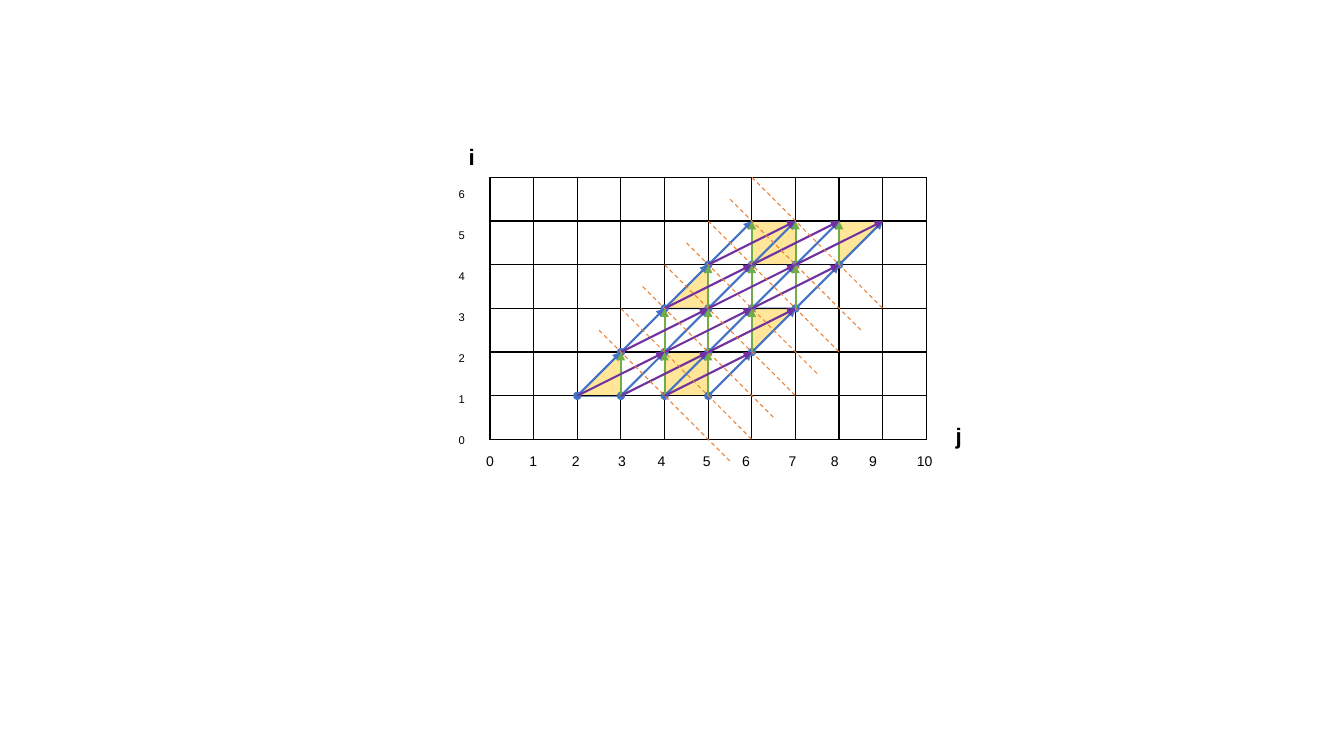
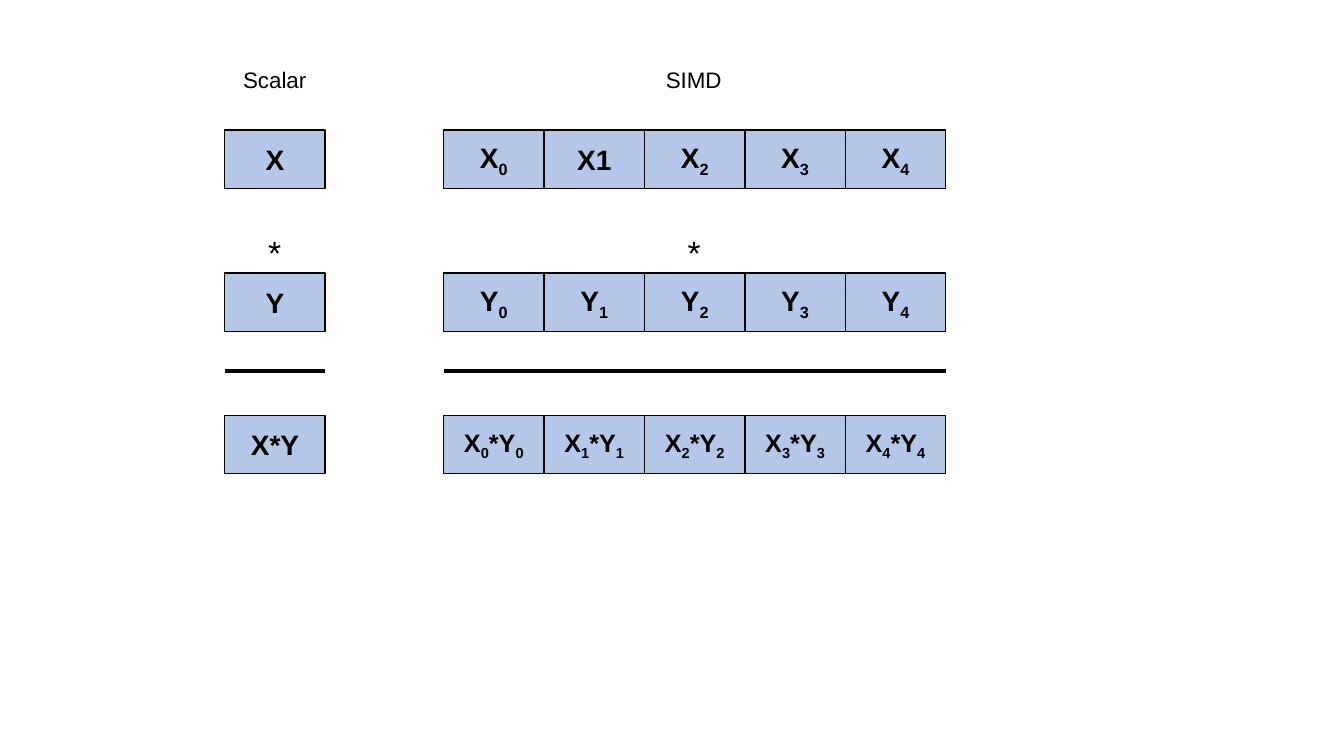
import pptx
import pptx.util
import pptx.dml.color
import pptx.enum.dml
import pptx.enum.shapes
import pptx.enum.text
import pptx.oxml.ns
import lxml.etree

PX = 9144
FONT = "Arial"
HUES = {"ink": "000000", "sand": "FFE699", "edge": "325491", "blue": "4472C4",
        "green": "70AD47", "plum": "7030A0", "rust": "ED7D31", "sky": "B4C7E7"}

KIND = pptx.enum.shapes.MSO_SHAPE
ALIGN = pptx.enum.text.PP_ALIGN

LEFT, BASE, WIDE, HIGH = 486, 436, 433, 260
COLS, ROWS = 10, 6
TILES = [(4, 1, KIND.RECTANGLE, 0), (6, 4, KIND.RECTANGLE, 0),
         (8, 4, KIND.ISOSCELES_TRIANGLE, 180), (6, 2, KIND.ISOSCELES_TRIANGLE, 180),
         (4, 3, KIND.ISOSCELES_TRIANGLE, 0), (2, 1, KIND.ISOSCELES_TRIANGLE, 0)]
ARROWS = [("blue", range(0, 4), 1, "oval"), ("green", range(1, 4), 0, None),
          ("plum", range(0, 3), 2, None)]
TICKS = [486, 529, 571, 617, 656, 701, 740, 786, 828, 866, 917]
NAMES = [("i", 455, 137), ("j", 938, 414)]

SOLO, START, SPAN, BOX = 223, 440, 498, 58
BANDS = [(129, 20, "X", ["X|0", "X1", "X|2", "X|3", "X|4"]),
         (271, 20, "Y", ["Y|0", "Y|1", "Y|2", "Y|3", "Y|4"]),
         (412, 18, "X*Y", ["X|0|*Y|0", "X|1|*Y|1", "X|2|*Y|2", "X|3|*Y|3", "X|4|*Y|4"])]
HEADS = [("Scalar", 229, 61, 87, 37, 16), ("SIMD", 577, 61, 222, 37, 16),
         ("*", 229, 225, 87, 50, 24), ("*", 645, 225, 87, 50, 24)]
RULE = 368


def px(*vals):
    return [round(val * PX) for val in vals]


def hue(name):
    return pptx.dml.color.RGBColor.from_string(HUES[name])


def tag(root, name, **atts):
    return lxml.etree.SubElement(root, pptx.oxml.ns.qn("a:" + name), **atts)


def style(para, size, bold=False, align=ALIGN.CENTER):
    para.alignment = align
    para.font.name = FONT
    para.font.size = pptx.util.Pt(size)
    para.font.bold = bold
    para.font.color.rgb = hue("ink")


def label(slide, lines, box, size, bold=False, align=ALIGN.CENTER):
    frame = slide.shapes.add_textbox(*px(*box)).text_frame
    frame.word_wrap = True
    frame.text = "\n".join(lines)
    for para in frame.paragraphs:
        style(para, size, bold, align)
    return frame


def shape(slide, kind, box, fill, edge):
    item = slide.shapes.add_shape(kind, *px(*box))
    item.shadow.inherit = False
    item.fill.solid()
    item.fill.fore_color.rgb = hue(fill)
    item.line.color.rgb = hue(edge)
    item.line.width = pptx.util.Pt(1)
    return item


def line(slide, start, end, name, width, head=None, tail=None, dash=False):
    item = slide.shapes.add_connector(
        pptx.enum.shapes.MSO_CONNECTOR.STRAIGHT, *px(*start, *end))
    item.line.color.rgb = hue(name)
    item.line.width = pptx.util.Pt(width)
    if dash:
        item.line.dash_style = pptx.enum.dml.MSO_LINE.DASH
    props = item._element.spPr
    stroke = props.find(pptx.oxml.ns.qn("a:ln"))
    for end_tag, form in (("headEnd", head), ("tailEnd", tail)):
        if form:
            tag(stroke, end_tag, type=form)
    tag(props, "effectLst")


def node(col, row):
    return LEFT + WIDE * col / COLS, BASE - HIGH * row / ROWS


def mesh(slide):
    table = slide.shapes.add_table(
        ROWS, COLS, *px(LEFT, BASE - HIGH, WIDE, HIGH)).table
    table.first_row = table.horz_banding = False
    for cell in table.iter_cells():
        props = cell._tc.get_or_add_tcPr()
        for side in ("lnL", "lnR", "lnT", "lnB"):
            edge = tag(props, side, w=str(pptx.util.Pt(1)))
            tag(tag(edge, "solidFill"), "srgbClr", val=HUES["ink"])
        cell.fill.background()


def lattice(slide):
    for col, row, kind, turn in TILES:
        x, y = node(col, row + 1)
        tile = shape(slide, kind, (x, y, WIDE / COLS, HIGH / ROWS), "sand", "edge")
        tile.rotation = turn
        if kind == KIND.ISOSCELES_TRIANGLE:
            tile.adjustments[0] = 1
    mesh(slide)
    for num, x in enumerate(TICKS):
        label(slide, [str(num)], (x - 25, 444, 50, 28), 10)
    marks = [str(num) for num in range(ROWS, -1, -1)]
    for para in label(slide, marks, (445, 174, 40, 270), 8, align=ALIGN.LEFT).paragraphs:
        para.line_spacing = 1.5
        para.space_after = pptx.util.Pt(15)
    for name, shifts, step, head in ARROWS:
        for shift in shifts:
            for row in range(1, 5):
                col = row + 1 + shift
                line(slide, node(col, row), node(col + step, row + 1),
                     name, 1.5, head, "triangle")
    for num in range(8):
        at = 2.5 + num / 2
        line(slide, node(at, at), node(at + 3, at - 3), "rust", 0.75, dash=True)
    for name, x, y in NAMES:
        label(slide, [name], (x, y, 34, 37), 16, True, ALIGN.LEFT)


def block(slide, x, y, width, text, size):
    item = shape(slide, KIND.RECTANGLE, (x, y, width, BOX), "sky", "ink")
    item.text_frame.vertical_anchor = pptx.enum.text.MSO_ANCHOR.MIDDLE
    para = item.text_frame.paragraphs[0]
    style(para, size, True)
    for num, part in enumerate(text.split("|")):
        run = para.add_run()
        run.text = part
        if num % 2:
            run._r.get_or_add_rPr().set("baseline", "-25000")


def vectors(slide):
    width = SPAN / 5
    lanes = [START + width * num for num in range(5)]
    for y, size, solo, parts in BANDS:
        block(slide, SOLO, y, width, solo, 20)
        for x, text in zip(lanes, parts):
            block(slide, x, y, width, text, size)
    for x in [SOLO] + lanes:
        line(slide, (x, RULE), (x + width, RULE), "ink", 2.25)
    for text, *box, size in HEADS:
        label(slide, [text], box, size)


def main():
    deck = pptx.Presentation()
    deck.slide_width, deck.slide_height = px(1333, 750)
    for draw in (lattice, vectors):
        draw(deck.slides.add_slide(deck.slide_layouts[6]))
    deck.save("out.pptx")


if __name__ == "__main__":
    main()
